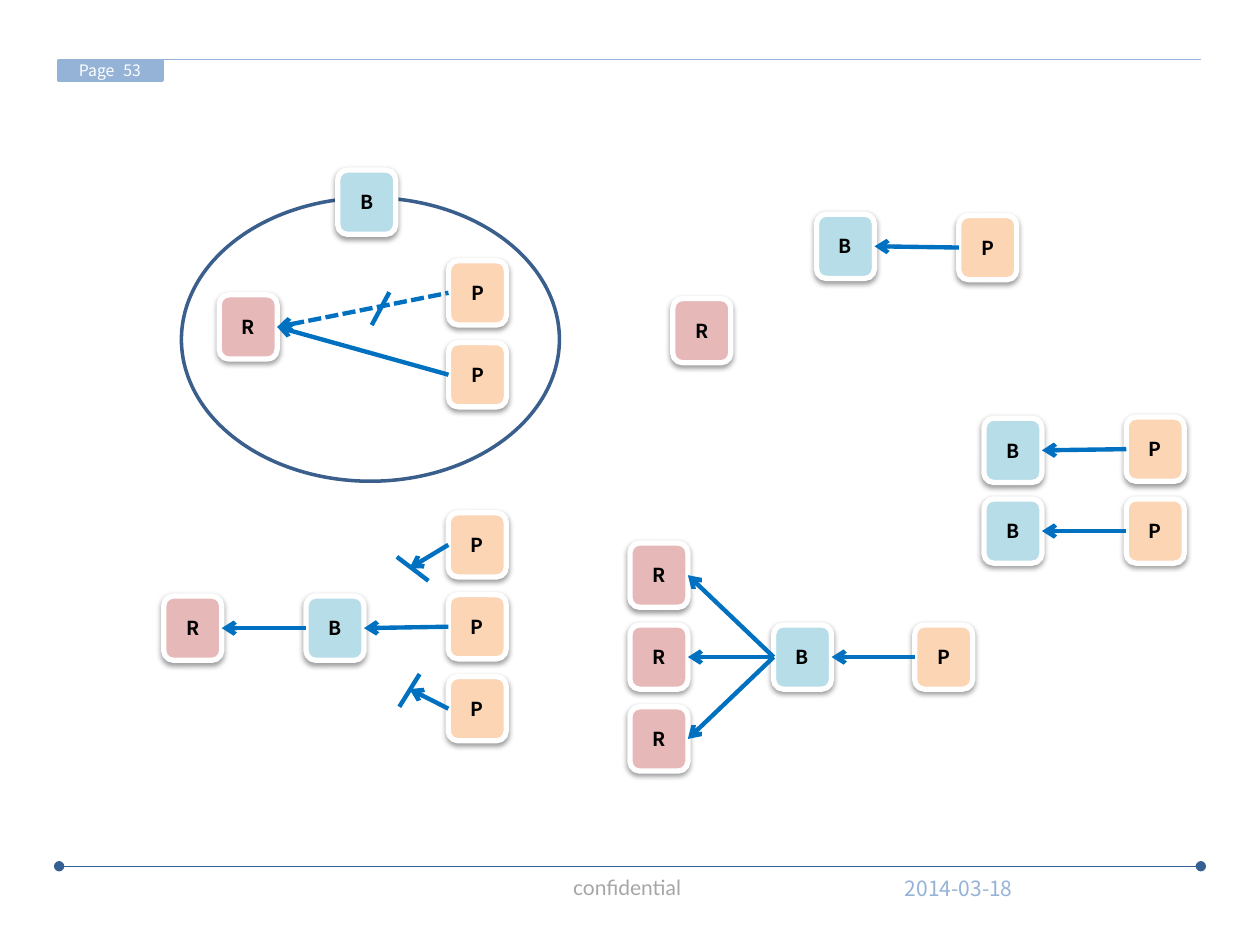
from dataclasses import dataclass

from lxml import etree
from pptx import Presentation
from pptx.dml.color import RGBColor
from pptx.enum.dml import MSO_LINE
from pptx.enum.shapes import MSO_CONNECTOR, MSO_SHAPE
from pptx.enum.text import MSO_ANCHOR, PP_ALIGN
from pptx.oxml.ns import qn
from pptx.util import Pt

STRAIGHT = MSO_CONNECTOR.STRAIGHT
ROUNDED = MSO_SHAPE.ROUNDED_RECTANGLE
RECTANGLE = MSO_SHAPE.RECTANGLE
OVAL = MSO_SHAPE.OVAL
DASHED = MSO_LINE.SQUARE_DOT
MIDDLE = MSO_ANCHOR.MIDDLE
TOP = MSO_ANCHOR.TOP
LEFT = PP_ALIGN.LEFT
CENTER = PP_ALIGN.CENTER
LEFT_SITE, RIGHT_SITE = 1, 3


@dataclass(frozen=True)
class Theme:
    font: str = "Noto Sans CJK KR"
    footer_font: str = "Lato"
    label_size: float = 11
    footer_size: float = 12
    page_size: float = 9
    black: str = "000000"
    white: str = "FFFFFF"
    gray: str = "A6A6A6"
    pale_blue: str = "95B3D7"
    deep_blue: str = "376092"
    ring: str = "3A5F8C"
    arrow: str = "0070C0"
    red: str = "E6B9B8"
    teal: str = "B7DEE8"
    orange: str = "FCD5B5"


THEME = Theme()
FILLS = {"R": THEME.red, "B": THEME.teal, "P": THEME.orange}
TILE_WIDTH, TILE_HEIGHT = 33.1, 36.7
STEP = 81.3
ROW = 46.8


def color(value):
    return RGBColor.from_string(value)


def write(box, text, size, ink, font=THEME.font, bold=False, align=LEFT,
          anchor=MIDDLE, inset=7.2, wrap=True):
    frame = box.text_frame
    frame.word_wrap = wrap
    frame.vertical_anchor = anchor
    frame.margin_left = frame.margin_right = Pt(inset)
    frame.margin_top = frame.margin_bottom = Pt(3.6 if anchor == TOP else 0)
    para = frame.paragraphs[0]
    para.alignment = align
    span = para.add_run()
    span.text = text
    span.font.name = font
    span.font.size = Pt(size)
    span.font.bold = bold
    span.font.color.rgb = color(ink)


def add_text(page, left, top, width, height, text, size, ink, **style):
    box = page.shapes.add_textbox(Pt(left), Pt(top), Pt(width), Pt(height))
    write(box, text, size, ink, **style)


def add_panel(page, kind, left, top, width, height, fill, outline, weight):
    panel = page.shapes.add_shape(kind, Pt(left), Pt(top), Pt(width), Pt(height))
    panel.shadow.inherit = False
    if fill:
        panel.fill.solid()
        panel.fill.fore_color.rgb = color(fill)
    else:
        panel.fill.background()
    panel.line.color.rgb = color(outline)
    panel.line.width = Pt(weight)
    return panel


def add_drop_shadow(panel):
    effects = panel._element.spPr.find(qn("a:effectLst"))
    shadow = etree.SubElement(effects, qn("a:outerShdw"), blurRad=str(Pt(3.1)),
                              dist=str(Pt(1.6)), dir="5400000", rotWithShape="0")
    tint = etree.SubElement(shadow, qn("a:srgbClr"), val=THEME.black)
    etree.SubElement(tint, qn("a:alpha"), val="38000")


def add_tile(page, letter, left, top):
    tile = add_panel(page, ROUNDED, left, top, TILE_WIDTH, TILE_HEIGHT,
                     FILLS[letter], THEME.white, 3)
    add_drop_shadow(tile)
    write(tile, letter, THEME.label_size, THEME.black, bold=True, align=CENTER, inset=0)
    return tile


def add_line(page, start, end, ink=THEME.arrow, weight=2.5, head=None, tail=None, dash=None):
    line = page.shapes.add_connector(STRAIGHT, *map(Pt, start + end))
    line.line.color.rgb = color(ink)
    line.line.width = Pt(weight)
    if dash:
        line.line.dash_style = dash
    outline = line.line._get_or_add_ln()
    for tag, shape in (("a:headEnd", head), ("a:tailEnd", tail)):
        if shape:
            etree.SubElement(outline, qn(tag), type=shape)
    etree.SubElement(line._element.spPr, qn("a:effectLst"))
    return line


def link(page, target, source, dash=None):
    line = add_line(page, (0, 0), (0, 0), head="arrow", dash=dash)
    line.begin_connect(target, RIGHT_SITE)
    line.end_connect(source, LEFT_SITE)


def add_blocked_arrow(page, tip, source, bar):
    line = add_line(page, tip, tip, head="arrow")
    line.end_connect(source, LEFT_SITE)
    add_line(page, *bar)


def add_frame(page):
    add_text(page, 505.4, 493.2, 85, 28.8, "2014-03-18", THEME.footer_size,
             THEME.pale_blue, align=CENTER)
    add_text(page, 320.4, 496.1, 78.5, 21.6, "confidential", THEME.footer_size,
             THEME.gray, font=THEME.footer_font, anchor=TOP, wrap=False)
    tab = add_panel(page, RECTANGLE, 33.8, 34.6, 59, 11.5,
                    THEME.pale_blue, THEME.pale_blue, 2)
    write(tab, "Page", THEME.page_size, THEME.white, inset=11.3)
    add_text(page, 63.4, 25.9, 39.6, 28.8, "53", THEME.page_size, THEME.white)
    add_line(page, (33.8, 495), (686.2, 495), THEME.deep_blue, 0.5, "oval", "oval")
    add_line(page, (33.8, 33.8), (686.2, 33.8), THEME.pale_blue, 0.5)


def add_pairs(page):
    add_tile(page, "R", 384.5, 170.6)
    for left, top, drop in ((466.6, 122.4, 0.7), (562.3, 239, -0.7), (562.3, 285.1, 0)):
        base = add_tile(page, "B", left, top)
        link(page, base, add_tile(page, "P", left + STEP, top + drop))


def add_fan(page):
    middle = 357.1
    targets = [add_tile(page, "R", 360, middle + ROW * row) for row in (-1, 0, 1)]
    base = add_tile(page, "B", 442.1, middle)
    source = add_tile(page, "P", 522.7, middle)
    for target in targets:
        link(page, target, base)
    link(page, base, source)


def add_enclosure(page):
    add_panel(page, OVAL, 103.7, 113, 216, 162, None, THEME.ring, 2)
    target = add_tile(page, "R", 125.3, 168.5)
    add_tile(page, "B", 193, 97.2)
    for row, dash in enumerate((DASHED, None)):
        source = add_tile(page, "P", 256.3, 149 + ROW * row)
        link(page, target, source, dash)
    add_line(page, (222.5, 167), (212.4, 185.8))


def add_gateway(page):
    left, top = 93.6, 340.6
    target = add_tile(page, "R", left, top)
    base = add_tile(page, "B", left + STEP, top)
    upper, middle, lower = [add_tile(page, "P", left + 2 * STEP, 339.8 + ROW * row)
                            for row in (-1, 0, 1)]
    link(page, target, base)
    link(page, base, middle)
    add_blocked_arrow(page, (234, 324.7), upper, ((244.8, 331.9), (226.8, 318.2)))
    add_blocked_arrow(page, (234, 393.8), lower, ((239.8, 385.2), (228.2, 403.9)))


def main():
    deck = Presentation()
    deck.slide_width, deck.slide_height = Pt(720), Pt(540)
    page = deck.slides.add_slide(deck.slide_layouts[6])
    add_frame(page)
    add_pairs(page)
    add_fan(page)
    add_enclosure(page)
    add_gateway(page)
    deck.save("out.pptx")


if __name__ == "__main__":
    main()
